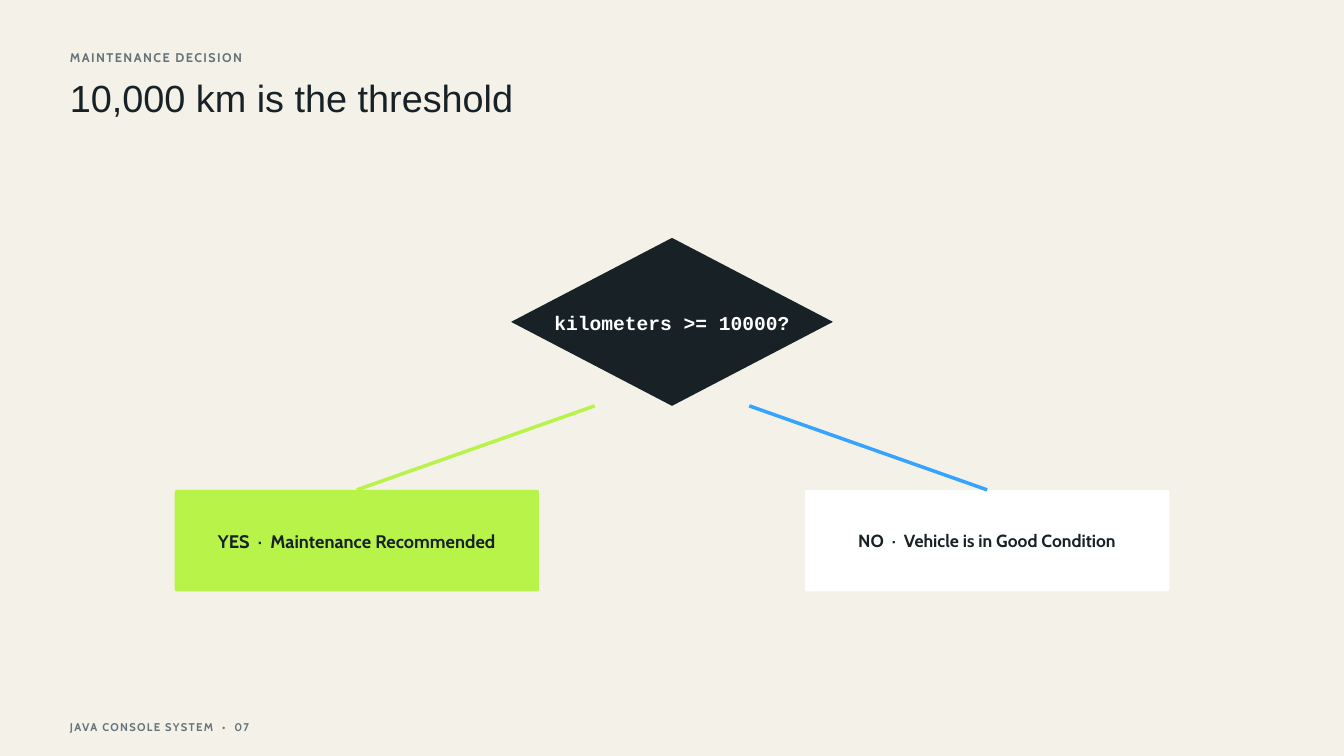
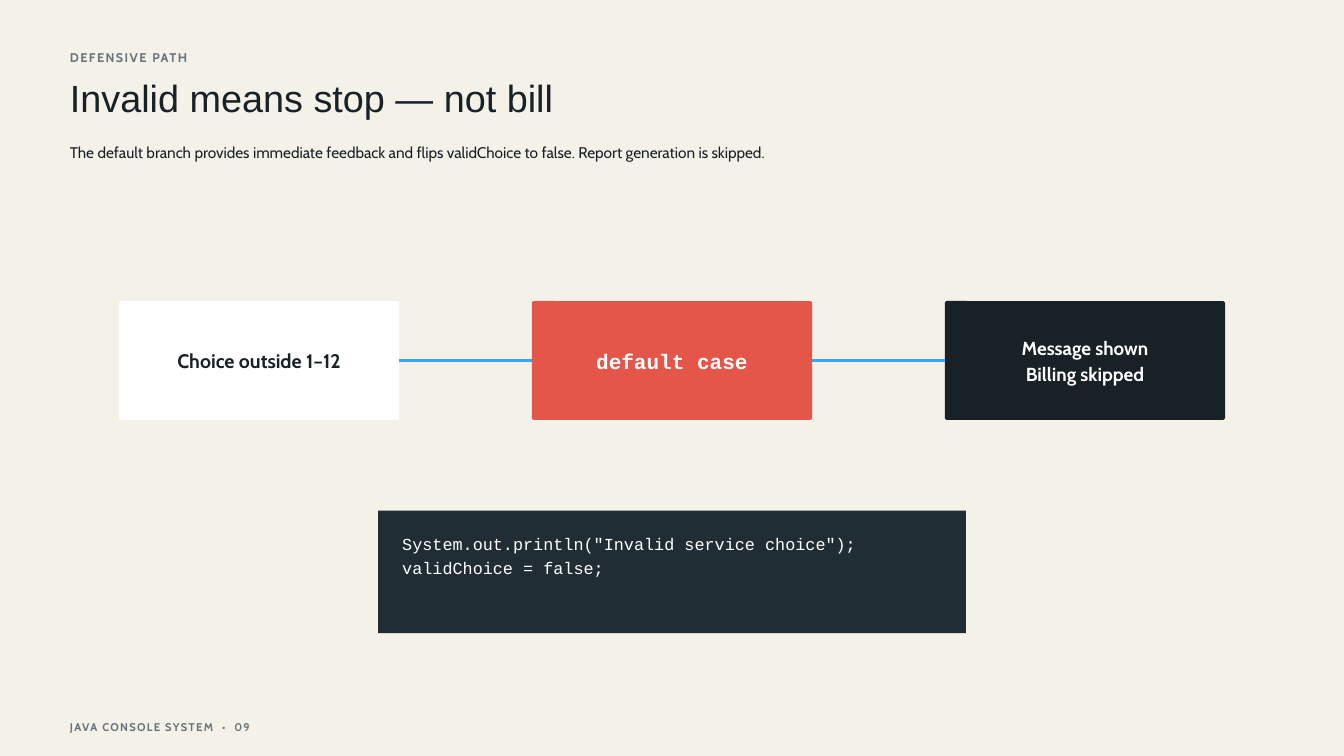
from lxml.etree import SubElement
from pptx import Presentation
from pptx.dml.color import RGBColor
from pptx.enum.shapes import MSO_CONNECTOR, MSO_SHAPE
from pptx.enum.text import MSO_ANCHOR, MSO_AUTO_SIZE, PP_ALIGN
from pptx.oxml.ns import qn
from pptx.util import Inches, Pt

COLORS = {
    "paper": "F4F1E8", "ink": "172126", "muted": "66737A", "white": "FFFFFF",
    "lime": "B8F34A", "blue": "36A3FF", "red": "E45649", "code": "202D34",
}
SANS, HEADING, MONO = "Cabin", "Arial", "Courier New"
SLIDE_W, SLIDE_H = 20, 11.25
MARGIN = 1.04
TOP, LEFT, RIGHT = 0, 1, 3

THRESHOLD = {
    "kicker": "MAINTENANCE DECISION",
    "title": "10,000 km is the threshold",
    "page": "07",
    "question": "kilometers >= 10000?",
    "outcomes": [
        ("YES  ·  Maintenance Recommended", 19.5, 27.3, "lime", "lime"),
        ("NO  ·  Vehicle is in Good Condition", 18.8, 26.2, "white", "blue"),
    ],
}
INVALID = {
    "kicker": "DEFENSIVE PATH",
    "title": "Invalid means stop — not bill",
    "page": "09",
    "summary": "The default branch provides immediate feedback and flips "
               "validChoice to false. Report generation is skipped.",
    "steps": [
        ("Choice outside 1–12", SANS, 21, 29.4, "ink", "white"),
        ("default case", MONO, 22.5, 31.5, "white", "red"),
        ("Message shown\nBilling skipped", SANS, 20.2, 28.4, "white", "ink"),
    ],
    "code": 'System.out.println("Invalid service choice");\nvalidChoice = false;',
}


def rgb(name):
    return RGBColor.from_string(COLORS[name])


def write(frame, text, font, size, leading, color, bold=False, tracking=0,
          align=PP_ALIGN.LEFT, anchor=MSO_ANCHOR.TOP, insets=(0, 0, 0, 0), wrap=True):
    frame.text = text
    frame.word_wrap = wrap
    frame.auto_size = MSO_AUTO_SIZE.NONE
    frame.vertical_anchor = anchor
    (frame.margin_left, frame.margin_top,
     frame.margin_right, frame.margin_bottom) = map(Inches, insets)
    for paragraph in frame.paragraphs:
        paragraph.alignment = align
        paragraph.line_spacing = Pt(leading)
        for run in paragraph.runs:
            run.font.name, run.font.size, run.font.bold = font, Pt(size), bold
            run.font.color.rgb = rgb(color)
            if tracking:
                run._r.get_or_add_rPr().set("spc", str(round(tracking * 100)))


def add_label(slide, box, *args, **kwargs):
    label = slide.shapes.add_textbox(*map(Inches, box))
    write(label.text_frame, *args, **kwargs)


def add_panel(slide, kind, box, fill):
    panel = slide.shapes.add_shape(kind, *map(Inches, box))
    panel.shadow.inherit = False
    panel.fill.solid()
    panel.fill.fore_color.rgb = rgb(fill)
    panel.line.fill.background()
    return panel


def add_node(slide, kind, box, fill, text, font, size, leading, color):
    node = add_panel(slide, kind, box, fill)
    if kind == MSO_SHAPE.ROUNDED_RECTANGLE:
        node.adjustments[0] = 0.02
    write(node.text_frame, text, font, size, leading, color, bold=True,
          align=PP_ALIGN.CENTER, anchor=MSO_ANCHOR.MIDDLE,
          insets=(0.06, 0.02, 0.06, 0.06), wrap=False)
    return node


def add_link(slide, start, end, color):
    link = slide.shapes.add_connector(MSO_CONNECTOR.STRAIGHT, *map(Inches, start + end))
    link.line.color.rgb = rgb(color)
    link.line.width = Pt(3.75)
    SubElement(link._element.spPr, qn("a:effectLst"))
    return link


def add_framed_slide(prs, content):
    slide = prs.slides.add_slide(prs.slide_layouts.get_by_name("Title Only"))
    title = slide.shapes.title
    title.left, title.top, title.width, title.height = map(Inches, (MARGIN, 1.2, 13.54, 0.62))
    write(title.text_frame, content["title"], HEADING, 40.5, 42.5, "ink")
    add_label(slide, (MARGIN, 0.7, 5.21, 0.25), content["kicker"],
              SANS, 13.5, 18.9, "muted", bold=True, tracking=1.6)
    add_label(slide, (MARGIN, 10.69, 6.25, 0.22), f"JAVA CONSOLE SYSTEM  •  {content['page']}",
              SANS, 12, 16.8, "muted", bold=True, tracking=1.4)
    return slide


def build_threshold(prs):
    slide = add_framed_slide(prs, THRESHOLD)
    center = SLIDE_W / 2
    diamond_w, diamond_h, diamond_top = 4.79, 2.5, 3.54
    outcome_w, outcome_h, outcome_top = 5.42, 1.51, 7.29
    outcome_offset, branch_offset = 4.69, 1.15
    add_node(slide, MSO_SHAPE.DIAMOND,
             (center - diamond_w / 2, diamond_top, diamond_w, diamond_h),
             "ink", THRESHOLD["question"], MONO, 21, 29.4, "white")
    for side, (text, size, leading, fill, branch_color) in zip((-1, 1), THRESHOLD["outcomes"]):
        middle = center + side * outcome_offset
        outcome = add_node(slide, MSO_SHAPE.ROUNDED_RECTANGLE,
                           (middle - outcome_w / 2, outcome_top, outcome_w, outcome_h),
                           fill, text, SANS, size, leading, "ink")
        branch = add_link(slide, (center + side * branch_offset, diamond_top + diamond_h),
                          (middle, outcome_top), branch_color)
        branch.end_connect(outcome, TOP)


def build_invalid(prs):
    slide = add_framed_slide(prs, INVALID)
    add_label(slide, (MARGIN, 2.1, 11.46, 0.3), INVALID["summary"], SANS, 16.5, 22.3, "ink")

    step_w, step_h, step_top, step_left = 4.17, 1.77, 4.48, 1.77
    pitch = (SLIDE_W - 2 * step_left - step_w) / (len(INVALID["steps"]) - 1)
    steps = [
        add_node(slide, MSO_SHAPE.ROUNDED_RECTANGLE,
                 (step_left + i * pitch, step_top, step_w, step_h),
                 fill, text, font, size, leading, color)
        for i, (text, font, size, leading, color, fill) in enumerate(INVALID["steps"])
    ]
    link_y = step_top + step_h / 2
    for i, (before, after) in enumerate(zip(steps, steps[1:])):
        left = step_left + i * pitch
        link = add_link(slide, (left + step_w, link_y), (left + pitch, link_y), "blue")
        link.begin_connect(before, RIGHT)
        link.end_connect(after, LEFT)

    code_w = 8.75
    code = add_panel(slide, MSO_SHAPE.RECTANGLE,
                     ((SLIDE_W - code_w) / 2, 7.6, code_w, 1.82), "code")
    write(code.text_frame, INVALID["code"], MONO, 18, 26.1, "white",
          insets=(0.36, 0.28, 0.36, 0))


def main():
    prs = Presentation()
    prs.slide_width, prs.slide_height = Inches(SLIDE_W), Inches(SLIDE_H)
    background = prs.slide_master.background.fill
    background.solid()
    background.fore_color.rgb = rgb("paper")
    build_threshold(prs)
    build_invalid(prs)
    prs.save("out.pptx")


if __name__ == "__main__":
    main()
